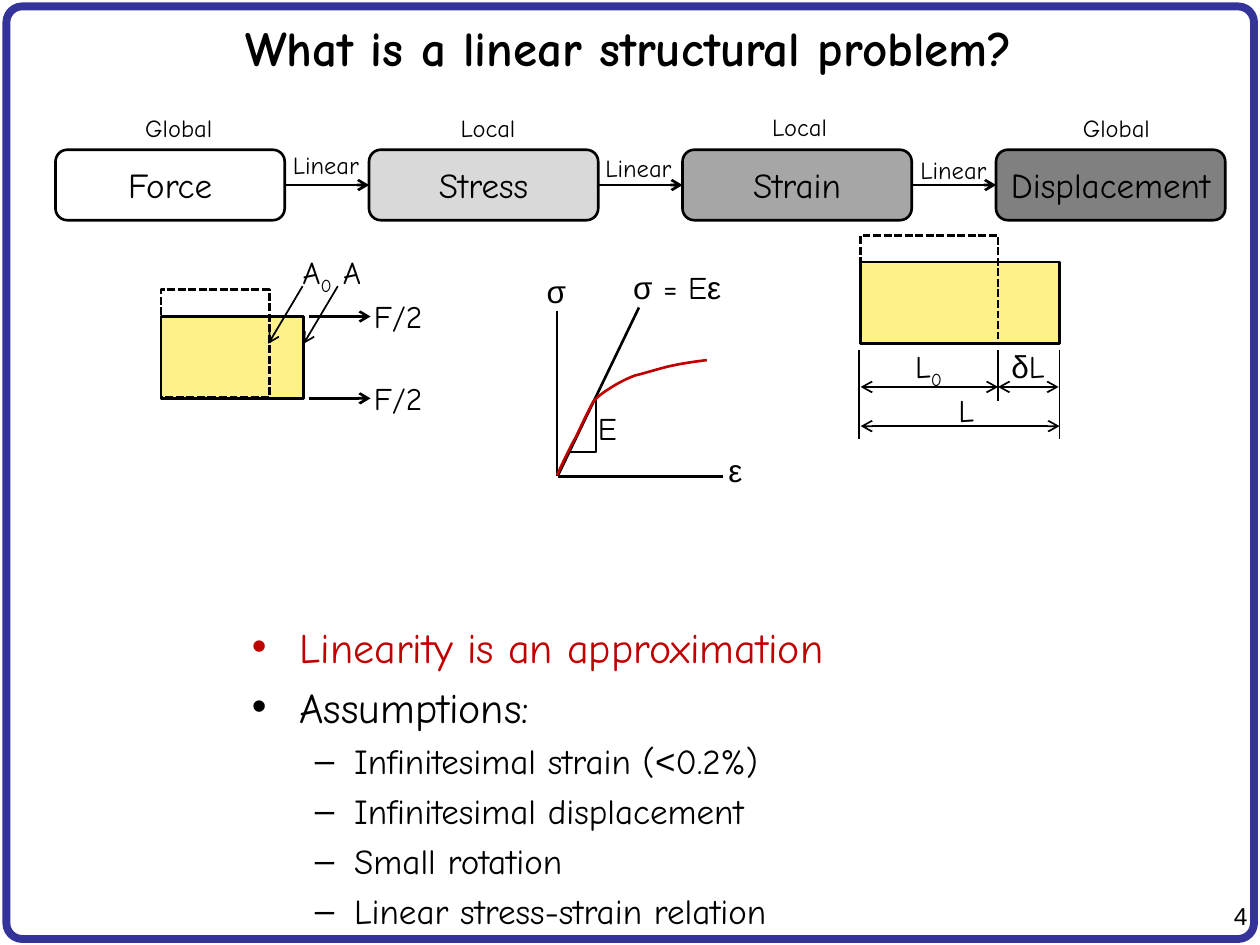
from dataclasses import dataclass
from typing import Any, Optional

import lxml.etree
import pptx
import pptx.dml.color
import pptx.enum.dml
import pptx.enum.shapes
import pptx.enum.text
import pptx.oxml.ns
import pptx.util

Cm = pptx.util.Cm
Pt = pptx.util.Pt
qn = pptx.oxml.ns.qn
Align = pptx.enum.text.PP_ALIGN
Preset = pptx.enum.shapes.MSO_SHAPE

HAND = "Comic Neue"
PLAIN = "Arial"
BLACK = "000000"
RED = "C00000"
YELLOW = "FFF189"
Point = tuple[float, float]


@dataclass
class Run:
    text: str
    font: str = HAND
    subscript: bool = False


@dataclass
class Label:
    left: float
    top: float
    width: float
    runs: list[Run]
    size: int = 18


@dataclass
class Box:
    left: float
    top: float
    width: float
    height: float
    fill: Optional[str] = None
    dashed: bool = False
    preset: Any = Preset.RECTANGLE
    line: str = BLACK
    weight: float = 1.5


@dataclass
class Line:
    start: Point
    end: Point
    weight: float = 1
    head: bool = False
    tail: bool = False


@dataclass
class Bullet:
    runs: list[Run]
    level: int = 0
    color: str = BLACK


def rgb(color: str) -> pptx.dml.color.RGBColor:
    return pptx.dml.color.RGBColor.from_string(color)


def add_runs(paragraph: Any, runs: list[Run], size: int, color: str = BLACK, bold: bool = False) -> None:
    for part in runs:
        run = paragraph.add_run()
        run.text = part.text
        run.font.name = part.font
        run.font.size = Pt(size)
        run.font.bold = bold
        run.font.color.rgb = rgb(color)
        if part.subscript:
            run.font._element.set("baseline", "-25000")


def draw_label(shapes: Any, label: Label, align: Any = Align.CENTER) -> None:
    height = 1.02 if label.size == 18 else 0.86
    frame = shapes.add_textbox(Cm(label.left), Cm(label.top), Cm(label.width), Cm(height)).text_frame
    frame.word_wrap = False
    frame.auto_size = pptx.enum.text.MSO_AUTO_SIZE.SHAPE_TO_FIT_TEXT
    frame.paragraphs[0].alignment = align
    add_runs(frame.paragraphs[0], label.runs, label.size)


def style_outline(shape: Any, color: str, weight: float, fill: Optional[str] = None) -> None:
    shape.shadow.inherit = False
    if fill:
        shape.fill.solid()
        shape.fill.fore_color.rgb = rgb(fill)
    else:
        shape.fill.background()
    shape.line.color.rgb = rgb(color)
    shape.line.width = Pt(weight)


def draw_box(shapes: Any, box: Box) -> Any:
    shape = shapes.add_shape(box.preset, Cm(box.left), Cm(box.top), Cm(box.width), Cm(box.height))
    style_outline(shape, box.line, box.weight, box.fill)
    if box.dashed:
        shape.line.dash_style = pptx.enum.dml.MSO_LINE.SQUARE_DOT
    return shape


def draw_line(shapes: Any, line: Line) -> None:
    ends = [Cm(value) for value in line.start + line.end]
    connector = shapes.add_connector(pptx.enum.shapes.MSO_CONNECTOR.STRAIGHT, *ends)
    connector.line.color.rgb = rgb(BLACK)
    connector.line.width = Pt(line.weight)
    properties = connector._element.spPr
    for tag, wanted in (("a:headEnd", line.head), ("a:tailEnd", line.tail)):
        if wanted:
            lxml.etree.SubElement(properties.find(qn("a:ln")), qn(tag), type="arrow")
    lxml.etree.SubElement(properties, qn("a:effectLst"))


def draw_polyline(shapes: Any, points: list[Point], color: str, weight: float) -> None:
    start, *rest = [(Cm(x), Cm(y)) for x, y in points]
    builder = shapes.build_freeform(*start)
    builder.add_line_segments(rest, close=False)
    style_outline(builder.convert_to_shape(), color, weight)


def sample_curve(controls: list[Point], steps: int = 8) -> list[Point]:
    points = [controls[0]]
    for first in range(0, len(controls) - 1, 3):
        a, b, c, d = controls[first:first + 4]
        for step in range(1, steps + 1):
            t = step / steps
            weights = ((1 - t) ** 3, 3 * t * (1 - t) ** 2, 3 * t * t * (1 - t), t ** 3)
            x, y = (sum(w * v for w, v in zip(weights, axis)) for axis in zip(a, b, c, d))
            points.append((x, y))
    return points


def draw_diagram(slide: Any, parts: list[Any]) -> Any:
    shapes = slide.shapes.add_group_shape().shapes
    painters = {Box: draw_box, Line: draw_line, Label: draw_label}
    for part in parts:
        painters[type(part)](shapes, part)
    return shapes


def draw_chain(slide: Any) -> None:
    stages = [("Force", None), ("Stress", "D9D9D9"), ("Strain", "A6A6A6"), ("Displacement", "808080")]
    first, step, width = 1.12, 6.32, 4.62
    shapes = slide.shapes.add_group_shape().shapes
    for index, (name, fill) in enumerate(stages):
        left = first + index * step
        stage = draw_box(shapes, Box(left, 3.02, width, 1.42, fill, preset=Preset.ROUNDED_RECTANGLE))
        stage.text_frame.word_wrap = False
        stage.text_frame.vertical_anchor = pptx.enum.text.MSO_ANCHOR.MIDDLE
        stage.text_frame.paragraphs[0].alignment = Align.CENTER
        add_runs(stage.text_frame.paragraphs[0], [Run(name)], 20)
        if index < len(stages) - 1:
            draw_line(shapes, Line((left + width, 3.73), (left + step, 3.73), 1.5, tail=True))
    for left, top in ((5.59, 2.9), (11.89, 2.97), (18.24, 3)):
        draw_label(shapes, Label(left, top, 1.96, [Run("Linear")], 14))
    for scope, left, top, extent in (("Global", 2.64, 2.16, 1.93), ("Global", 21.54, 2.16, 1.93),
                                     ("Local", 8.99, 2.16, 1.7), ("Local", 15.27, 2.13, 1.7)):
        draw_label(shapes, Label(left, top, extent, [Run(scope)], 14))


def draw_bullets(slide: Any, bullets: list[Bullet]) -> None:
    frame = slide.shapes.add_textbox(Cm(4.83), Cm(12.4), Cm(17.35), Cm(5.69)).text_frame
    frame.word_wrap = True
    levels = [("•", 0.96, -0.96, 24, 5.5), ("–", 2.06, -0.79, 20, 4.6)]
    for index, bullet in enumerate(bullets):
        mark, margin, indent, size, gap = levels[bullet.level]
        paragraph = frame.add_paragraph() if index else frame.paragraphs[0]
        paragraph.level = bullet.level
        if index:
            paragraph.space_before = Pt(gap)
        properties = paragraph._p.get_or_add_pPr()
        properties.set("marL", str(Cm(margin)))
        properties.set("indent", str(Cm(indent)))
        lxml.etree.SubElement(properties, qn("a:buFont"), typeface=PLAIN)
        lxml.etree.SubElement(properties, qn("a:buChar"), char=mark)
        add_runs(paragraph, bullet.runs, size, bullet.color)


def main() -> None:
    deck = pptx.Presentation()
    deck.slide_width, deck.slide_height = Cm(25.4), Cm(19.05)
    slide = deck.slides.add_slide(deck.slide_layouts[5])

    border = draw_box(slide.shapes, Box(0.13, 0.13, 25.15, 18.8, preset=Preset.ROUNDED_RECTANGLE,
                                        line="333399", weight=4.5))
    border.adjustments[0] = 0.017
    draw_label(slide.shapes, Label(24.03, 18.03, 1.37, [Run("4", PLAIN)], 14), Align.RIGHT)

    title = slide.shapes.title
    title.left, title.top, title.width, title.height = Cm(0.1), Cm(0.13), Cm(25.15), Cm(1.65)
    title.text_frame.vertical_anchor = pptx.enum.text.MSO_ANCHOR.MIDDLE
    title.text_frame.paragraphs[0].alignment = Align.CENTER
    add_runs(title.text_frame.paragraphs[0], [Run("What is a linear structural problem?")], 28, bold=True)

    draw_bullets(slide, [
        Bullet([Run("Linearity is an approximation")], color=RED),
        Bullet([Run("Assumptions:")]),
        Bullet([Run("Infinitesimal strain ("), Run("<", PLAIN), Run("0.2%)")], 1),
        Bullet([Run("Infinitesimal displacement")], 1),
        Bullet([Run("Small rotation")], 1),
        Bullet([Run("Linear stress-strain relation")], 1),
    ])

    force = [Box(3.25, 6.38, 2.87, 1.65, YELLOW)]
    for y in (6.38, 8.03):
        force += [Line((6.22, y), (7.47, y), 1.5, tail=True), Label(7.21, y - 0.51, 1.63, [Run("F/2")])]
    draw_diagram(slide, force + [
        Label(5.77, 4.98, 1.24, [Run("A"), Run("0", subscript=True)]),
        Line((6.1, 5.77), (5.41, 6.93), tail=True),
        Label(6.6, 4.98, 0.99, [Run("A")]),
        Line((6.81, 5.77), (6.12, 6.93), tail=True),
        Box(3.25, 5.84, 2.18, 2.18, dashed=True),
    ])

    extensions = [Line((x, 7.06), (x, bottom)) for x, bottom in ((17.32, 8.84), (20.12, 8.08), (21.36, 8.84))]
    dimensions = [Line((start, y), (end, y), head=True, tail=True)
                  for start, end, y in ((17.35, 20.12, 7.8), (20.12, 21.34, 7.8), (17.35, 21.36, 8.59))]
    draw_diagram(slide, [
        Box(17.35, 5.28, 4.01, 1.65, YELLOW),
        Box(17.35, 4.75, 2.77, 2.18, dashed=True),
        *extensions, *dimensions,
        Label(18.16, 6.88, 1.12, [Run("L"), Run("0", subscript=True)]),
        Label(20.14, 6.88, 1.17, [Run("δ", PLAIN), Run("L")]),
        Label(19.05, 7.75, 0.86, [Run("L")]),
    ])

    stress_strain = draw_diagram(slide, [
        Line((11.23, 6.27), (11.23, 9.6), 1.5),
        Line((14.58, 9.6), (11.25, 9.6), 1.5),
        Line((12.88, 6.2), (11.25, 9.58), 1.5),
        Label(11.79, 8.13, 0.91, [Run("E")]),
        Label(10.77, 5.36, 0.89, [Run("σ", PLAIN)]),
        Label(14.43, 8.97, 0.79, [Run("ε", PLAIN)]),
        Label(12.47, 5.28, 2.36, [Run("σ", PLAIN), Run(" = E"), Run("ε", PLAIN)]),
    ])
    draw_polyline(stress_strain, [(12.01, 8.03), (12.01, 9.12), (11.48, 9.12)], BLACK, 1)
    draw_polyline(stress_strain, sample_curve([
        (11.23, 9.58), (11.35, 9.32), (11.48, 9.04), (11.61, 8.81), (11.73, 8.56), (11.86, 8.28),
        (11.96, 8.1), (12.09, 7.95), (12.19, 7.9), (12.34, 7.8), (12.47, 7.72), (12.6, 7.65),
        (12.8, 7.57), (13.03, 7.52), (13.31, 7.42), (13.56, 7.37), (13.79, 7.32), (14.02, 7.29),
        (14.25, 7.26)]), RED, 1.5)

    draw_chain(slide)
    deck.save("out.pptx")


if __name__ == "__main__":
    main()
